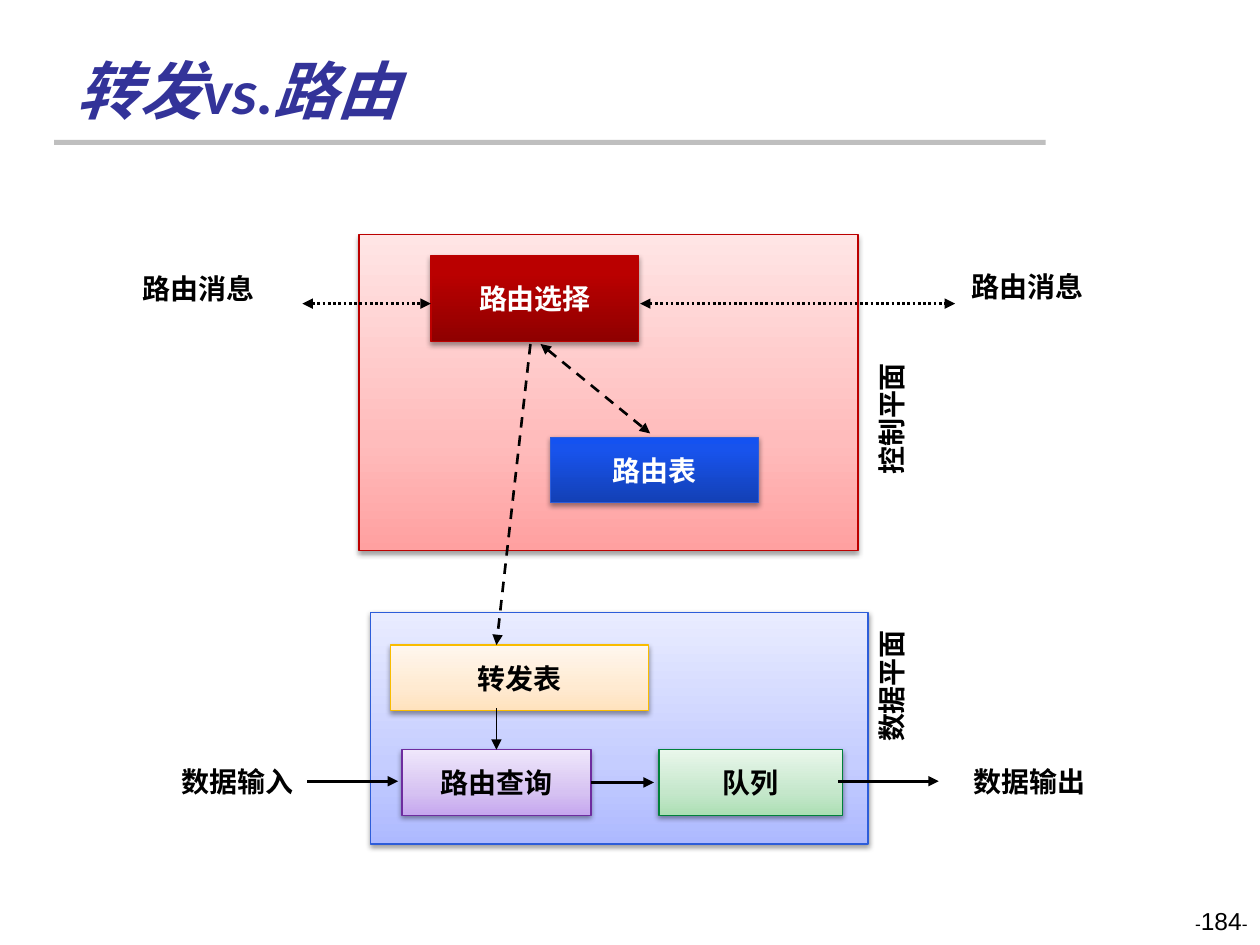
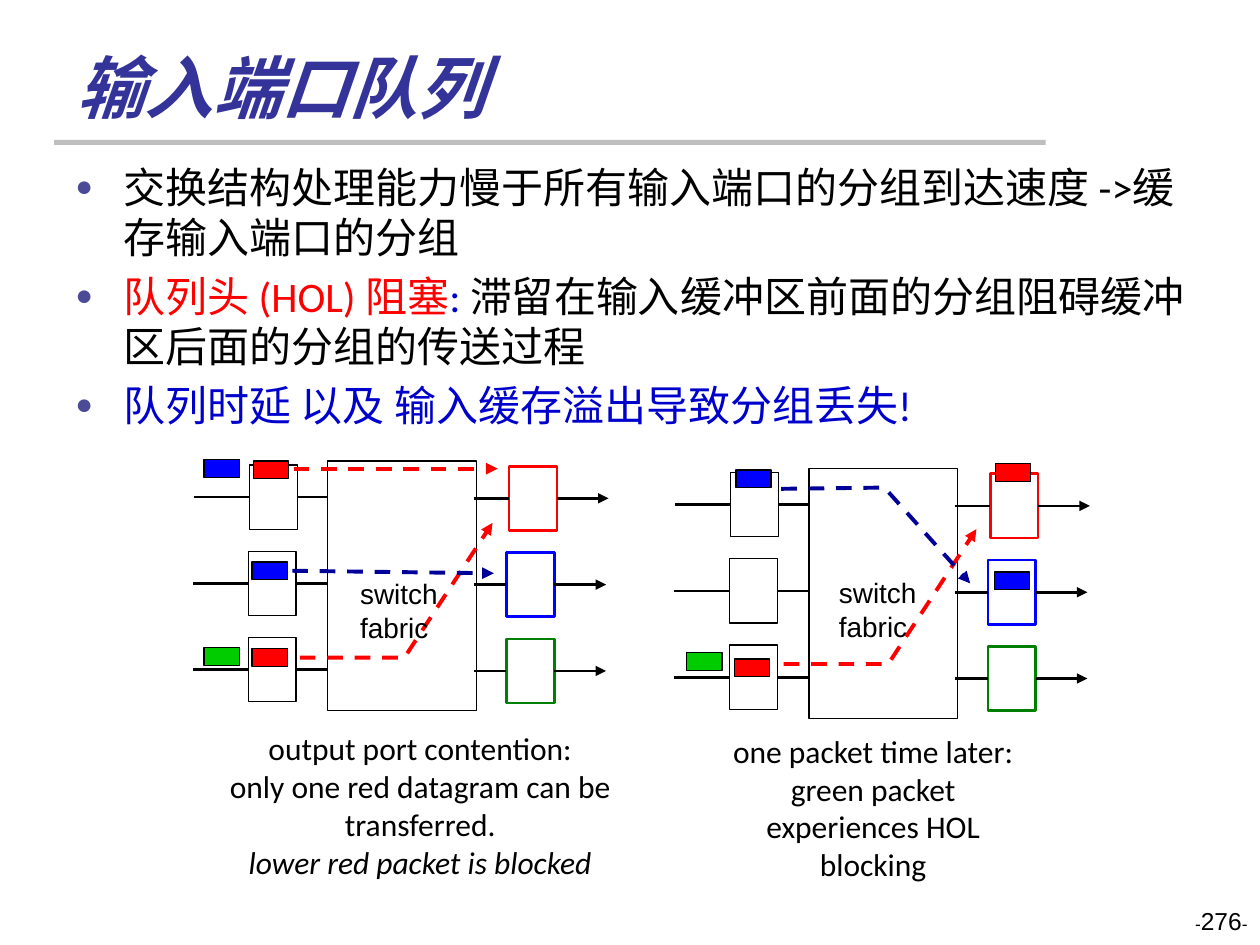
from dataclasses import dataclass

from lxml import etree
from pptx import Presentation
from pptx import util as u
from pptx.dml.color import RGBColor
from pptx.enum import dml, shapes, text
from pptx.oxml import ns

Inches = u.Inches
ALIGN = text.PP_ALIGN
ANCHOR = text.MSO_ANCHOR
DASH = dml.MSO_LINE.DASH
DOT = dml.MSO_LINE.ROUND_DOT
TOP, LEFT, RIGHT = 0, 1, 3


@dataclass(frozen=True)
class Theme:
    title: str = "333399"
    band: str = "BFBFBF"
    bullet: str = "4A4A97"
    black: str = "000000"
    white: str = "FFFFFF"
    red: str = "FF0000"
    blue: str = "0000FF"
    green: str = "008000"
    packet_green: str = "00CC00"
    navy: str = "000099"
    emphasis: str = "0000CC"
    latin: str = "Calibri"
    sans: str = "Arial"
    chinese: str = "Noto Sans CJK SC"
    body_size: float = 24
    caption_size: float = 18
    label_size: float = 16
    number_size: float = 14
    dash_size: float = 10
    thin: float = 0.75
    line: float = 1.5
    thick: float = 2.25


GRADIENTS = {
    "control": ("BC0000", 35, "FFA0A0", "FFBCBC", "FFE5E5"),
    "data": ("2D5DD9", 35, "ADB9FF", "C5CDFF", "E9ECFF"),
    "queue": ("00813B", 35, "ACDFB4", "C5E7CB", "E9F7EB"),
    "lookup": ("6E2C9F", 35, "C5A6EE", "D6C2F2", "EFE7FB"),
    "forwarding": ("F9BC00", 35, "FFE2BD", "FFEAD1", "FFF7EE"),
    "routing": ("BC0000", 80, "8F0000", "BA0000", "BB0000"),
    "table": ("2D5DD9", 80, "1340B5", "1853EC", "1452F1"),
}


def add_child(parent, tag, **attributes):
    child = etree.SubElement(parent, ns.qn(tag))
    for key, value in attributes.items():
        child.set(key, str(value))
    return child


def write(frame, paragraphs, font, size, color, bold=False, italic=False,
          align=ALIGN.LEFT, anchor=ANCHOR.TOP, wrap=True, bullet=None):
    frame.word_wrap = wrap
    frame.vertical_anchor = anchor
    for index, spans in enumerate(paragraphs):
        para = frame.add_paragraph() if index else frame.paragraphs[0]
        para.alignment = align
        if bullet:
            properties = para._p.get_or_add_pPr()
            properties.set("marL", str(Inches(0.38)))
            properties.set("indent", str(-Inches(0.38)))
            add_child(add_child(properties, "a:buClr"), "a:srgbClr", val=bullet)
            add_child(properties, "a:buSzPct", val=70000)
            add_child(properties, "a:buFont", typeface="Arial")
            add_child(properties, "a:buChar", char="●")
            if index:
                para.space_before = u.Pt(size * 0.2)
        for words, changes in [(spans, {})] if isinstance(spans, str) else spans:
            span = para.add_run()
            span.text = words
            span.font.size = u.Pt(changes.get("size", size))
            span.font.bold = bold
            span.font.italic = changes.get("italic", italic)
            span.font.color.rgb = RGBColor.from_string(changes.get("color", color))
            span.font.name = font
            add_child(span._r.get_or_add_rPr(), "a:ea", typeface=font)


class Slides:
    def __init__(self, theme):
        self.theme = theme
        self.deck = Presentation()
        self.deck.slide_width, self.deck.slide_height = Inches(10), Inches(7.5)
        self.page = None

    def start(self, title, title_size, number):
        theme = self.theme
        self.page = self.deck.slides.add_slide(self.deck.slide_layouts[6])
        self.box(0.43, 1.11, 7.87, 0.04, theme.band)
        self.words(7.67, 7.14, 2.33, 0.5,
                   [[("-", {}), (number, {"size": theme.number_size}), ("-", {})]],
                   font=theme.sans, size=theme.dash_size, align=ALIGN.RIGHT)
        self.words(0.51, 0.28, 8.25, 0.78, [title], size=title_size,
                   color=theme.title, bold=True, italic=True, anchor=ANCHOR.BOTTOM)

    def words(self, left, top, width, height, paragraphs, **style):
        box = self.page.shapes.add_textbox(*map(Inches, (left, top, width, height)))
        defaults = {"font": self.theme.latin, "color": self.theme.black}
        write(box.text_frame, paragraphs, **{**defaults, **style})
        return box

    def label(self, left, top, words, width=1.11, rotation=0):
        box = self.words(left, top, width, 0.37, [words], font=self.theme.chinese,
                         size=self.theme.label_size, bold=True,
                         align=ALIGN.CENTER, wrap=False)
        box.rotation = rotation

    def box(self, left, top, width, height, fill, line=None, weight=None):
        box = self.page.shapes.add_shape(
            shapes.MSO_SHAPE.RECTANGLE, *map(Inches, (left, top, width, height)))
        box.shadow.inherit = False
        box.fill.solid()
        box.fill.fore_color.rgb = RGBColor.from_string(fill)
        if line:
            self.stroke(box.line, line, weight or self.theme.thin)
        else:
            box.line.fill.background()
        return box

    def block(self, left, top, width, height, style, words=None, color=None):
        line, middle, *colors = GRADIENTS[style]
        box = self.box(left, top, width, height, colors[0], line)
        box.fill.gradient()
        box.fill.gradient_angle = 90
        properties = box._element.spPr
        stops = properties.find(".//" + ns.qn("a:gsLst"))
        for stop in list(stops):
            stops.remove(stop)
        for position, shade in zip((0, middle, 100), colors):
            stop = add_child(stops, "a:gs", pos=position * 1000)
            add_child(stop, "a:srgbClr", val=shade)
        shadow = add_child(properties.find(ns.qn("a:effectLst")), "a:outerShdw",
                           blurRad=u.Pt(3.1), dist=u.Pt(1.6), dir=5400000,
                           rotWithShape=0)
        add_child(add_child(shadow, "a:srgbClr", val=self.theme.black),
                  "a:alpha", val=38000)
        if words:
            write(box.text_frame, [words], self.theme.chinese, self.theme.label_size,
                  color or self.theme.black, bold=True, align=ALIGN.CENTER,
                  anchor=ANCHOR.MIDDLE, wrap=False)
        return box

    def stroke(self, line, color, weight, dash=None, head=False, tail=False):
        line.color.rgb = RGBColor.from_string(color)
        line.width = u.Pt(weight)
        if dash:
            line.dash_style = dash
        for wanted, tag in ((head, "a:headEnd"), (tail, "a:tailEnd")):
            if wanted:
                add_child(line._get_or_add_ln(), tag, type="triangle")

    def line(self, start, end, color=None, weight=None, begin=None, finish=None, **ends):
        line = self.page.shapes.add_connector(
            shapes.MSO_CONNECTOR.STRAIGHT, *map(Inches, (*start, *end)))
        self.stroke(line.line, color or self.theme.black,
                    weight or self.theme.line, **ends)
        add_child(line._element.spPr, "a:effectLst")
        if begin:
            line.begin_connect(*begin)
        if finish:
            line.end_connect(*finish)

    def route(self, points, color):
        start, *rest = [tuple(map(Inches, point)) for point in points]
        builder = self.page.shapes.build_freeform(*start)
        builder.add_line_segments(rest, close=False)
        path = builder.convert_to_shape()
        path.shadow.inherit = False
        path.fill.background()
        self.stroke(path.line, color, self.theme.thick, dash=DASH, tail=True)

    def packets(self, places):
        for left, top, color in places:
            self.box(left, top, 0.28, 0.14, color, self.theme.black)

    def switch(self, left, top):
        theme = self.theme
        self.box(left, top, 1.18, 1.98, theme.white, theme.black)
        width, height, pitch = 0.38, 0.51, 0.685
        for row, color in enumerate((theme.red, theme.blue, theme.green)):
            shift = 0.01 if row == 0 else 0
            port_left, port_top = left - 0.63 + shift, top + 0.03 + row * pitch
            port = self.box(port_left, port_top, width, height, theme.white, theme.black)
            level = port_top + height / 2
            self.line((port_left - 0.44, level), (port_left, level), finish=(port, LEFT))
            self.line((port_left + width, level), (left, level), begin=(port, RIGHT))

            exit_left, exit_top = left + 1.42 + 2 * shift, port_top + 0.01
            port = self.box(exit_left, exit_top, width, height, theme.white,
                            color, theme.line)
            level = exit_top + height / 2
            self.line((left + 1.16, level), (exit_left, level), finish=(port, LEFT))
            self.line((exit_left + width, level), (exit_left + 0.79, level),
                      begin=(port, RIGHT), tail=True)

    def fabric_name(self, left, top):
        self.words(left, top, 0.82, 0.64, ["switch", "fabric"], font=self.theme.sans,
                   size=self.theme.label_size, wrap=False)


def forwarding_slide(slides):
    theme = slides.theme
    slides.start("转发vs.路由", 36, "184")
    slides.block(2.85, 1.86, 3.96, 2.51, "control")
    slides.block(2.94, 4.86, 3.95, 1.84, "data")
    slides.block(5.23, 5.95, 1.46, 0.52, "queue", "队列")
    slides.block(3.42, 2.03, 1.65, 0.68, "routing", "路由选择", theme.white)
    lookup = slides.block(3.19, 5.95, 1.5, 0.52, "lookup", "路由查询")
    slides.block(3.1, 5.12, 2.05, 0.52, "forwarding", "转发表")
    slides.block(4.37, 3.47, 1.65, 0.52, "table", "路由表", theme.white)

    slides.label(1.33, 6.02, "数据输入")
    slides.label(7.5, 6.02, "数据输出", width=1.34)
    slides.label(1.02, 2.11, "路由消息")
    slides.label(7.6, 2.09, "路由消息")
    slides.label(6.52, 3.14, "控制平面", rotation=270)
    slides.label(6.52, 5.26, "数据平面", rotation=270)

    slides.line((2.44, 6.2), (3.16, 6.2), tail=True)
    slides.line((4.69, 6.21), (5.19, 6.21), begin=(lookup, RIGHT), tail=True)
    slides.line((6.65, 6.2), (7.45, 6.2), tail=True)
    slides.line((2.4, 2.41), (3.42, 2.41), dash=DOT, head=True, tail=True)
    slides.line((5.08, 2.41), (7.58, 2.41), dash=DOT, head=True, tail=True)
    slides.line((4.21, 2.73), (3.94, 5.12), dash=DASH, tail=True)
    slides.line((4.29, 2.73), (5.16, 3.44), dash=DASH, head=True, tail=True)
    slides.line((3.94, 5.62), (3.94, 5.95), weight=1, finish=(lookup, TOP), tail=True)


def queue_slide(slides):
    theme = slides.theme
    slides.start("输入端口队列", 39, "276")
    slides.words(0.5, 1.23, 9, 5.83, [
        "交换结构处理能力慢于所有输入端口的分组到达速度 ->缓存输入端口的分组",
        [("队列头 (HOL) 阻塞", {"color": theme.red}),
         (": ", {"color": theme.emphasis}),
         ("滞留在输入缓冲区前面的分组阻碍缓冲区后面的分组的传送过程", {})],
        [("队列时延 以及 输入缓存溢出导致分组丢失!", {"color": theme.emphasis})],
    ], size=theme.body_size, bullet=theme.bullet)

    slides.switch(2.6, 3.66)
    slides.packets([(2.01, 3.66, theme.red), (2, 4.46, theme.blue),
                    (2, 5.15, theme.red), (1.62, 3.65, theme.blue),
                    (1.62, 5.14, theme.packet_green)])
    slides.line((2.33, 3.72), (3.95, 3.72), theme.red, theme.thick, dash=DASH, tail=True)
    slides.route([(2.38, 5.22), (3.21, 5.22), (3.91, 4.15)], theme.red)
    slides.fabric_name(2.76, 4.53)
    slides.line((2.32, 4.53), (3.92, 4.55), theme.navy, theme.thick, dash=DASH, tail=True)
    slides.words(1.48, 5.74, 3.71, 1.3, [
        "output port contention:",
        "only one red datagram can be transferred.",
        [("lower red packet is blocked", {"italic": True})],
    ], size=theme.caption_size, align=ALIGN.CENTER)

    slides.switch(6.42, 3.72)
    slides.fabric_name(6.56, 4.52)
    slides.route([(6.22, 5.27), (7.05, 5.27), (7.75, 4.2)], theme.red)
    slides.route([(6.2, 3.88), (7.02, 3.87), (7.7, 4.63)], theme.navy)
    slides.packets([(7.9, 3.68, theme.red), (5.84, 3.73, theme.blue),
                    (5.83, 5.23, theme.red), (5.45, 5.18, theme.packet_green),
                    (7.89, 4.54, theme.blue)])
    slides.words(5.71, 5.76, 2.44, 1.3,
                 ["one packet time later: green packet experiences HOL blocking"],
                 size=theme.caption_size, align=ALIGN.CENTER)


def main():
    slides = Slides(Theme())
    forwarding_slide(slides)
    queue_slide(slides)
    slides.deck.save("out.pptx")


if __name__ == "__main__":
    main()
